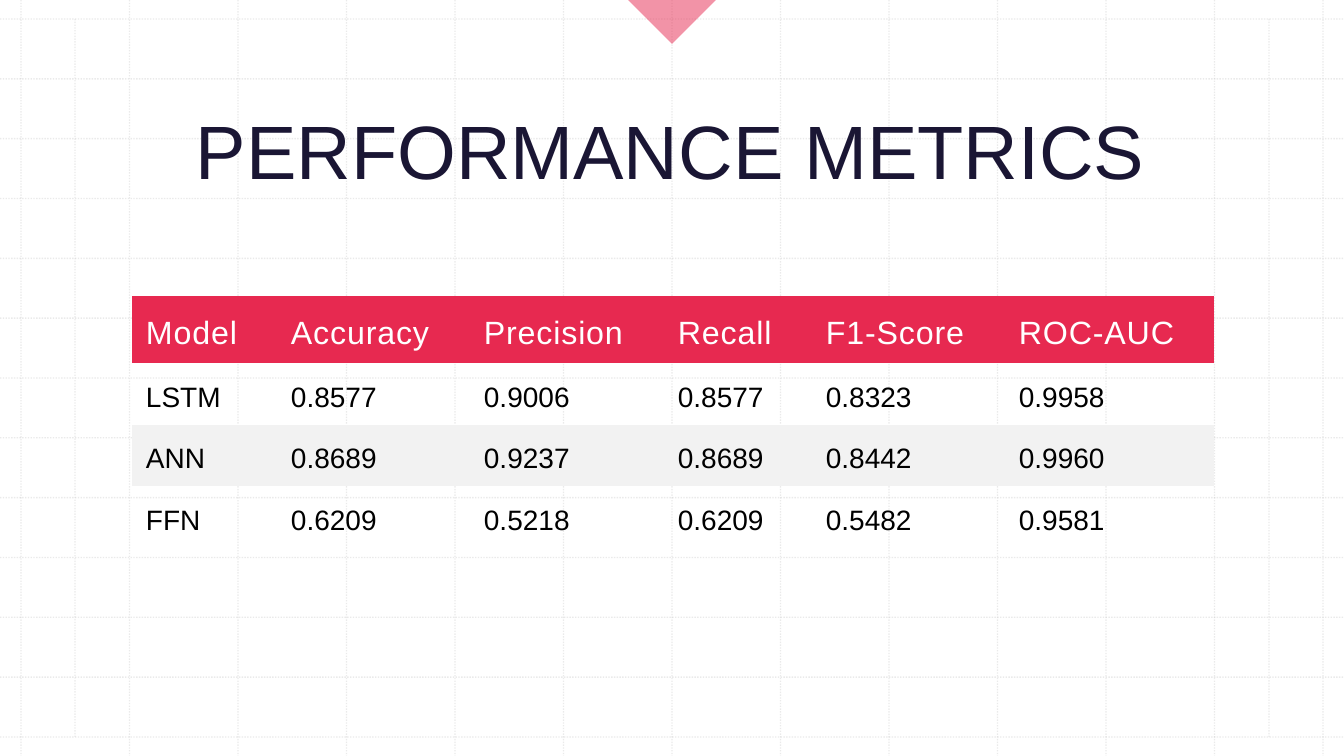
from dataclasses import dataclass

from lxml import etree
from pptx import Presentation, util as u
from pptx.dml.color import RGBColor
from pptx.enum import dml, shapes, text
from pptx.oxml.ns import qn

EMU_PER_PX = 914400 / 100.8
NO_STYLE_NO_GRID = "{2D5ABB26-0587-4C30-8999-92F81FD0307C}"

METRICS = [
    ["Model", "Accuracy", "Precision", "Recall", "F1-Score", "ROC-AUC"],
    ["LSTM", "0.8577", "0.9006", "0.8577", "0.8323", "0.9958"],
    ["ANN", "0.8689", "0.9237", "0.8689", "0.8442", "0.9960"],
    ["FFN", "0.6209", "0.5218", "0.6209", "0.5482", "0.9581"],
]
COLUMN_WIDTHS = [145, 193, 194, 148, 193, 209]
ROW_HEIGHTS = [67, 62, 61, 62]


@dataclass(frozen=True)
class Theme:
    font: str = "Arial"
    paper: str = "FFFFFF"
    grid: str = "BCBCBC"
    accent: str = "E72950"
    band: str = "F2F2F2"
    title: str = "1A1634"
    header: str = "FFFFFF"
    body: str = "000000"
    title_size: int = 54
    header_size: int = 23
    body_size: int = 20
    header_spacing: int = 60
    grid_alpha: int = 30
    accent_alpha: int = 50


THEME = Theme()


def px(length):
    return u.Emu(round(length * EMU_PER_PX))


def assign(target, values):
    for name, value in values.items():
        setattr(target, name, value)


def paint(fill, color):
    fill.solid()
    fill.fore_color.rgb = RGBColor.from_string(color)


def set_alpha(item, percent):
    """Make the solid colour inside a shape's fill or line translucent."""
    color = item._element.spPr.find(".//" + qn("a:srgbClr"))
    etree.SubElement(color, qn("a:alpha"), val=str(percent * 1000))


def write(para, words, size, color):
    span = para.add_run()
    span.text = words
    assign(span.font, {"name": THEME.font, "size": u.Pt(size)})
    span.font.color.rgb = RGBColor.from_string(color)
    return span


def add_grid_line(page, x1, y1, x2, y2):
    line = page.shapes.add_connector(
        shapes.MSO_CONNECTOR.STRAIGHT, px(x1), px(y1), px(x2), px(y2))
    paint(line.line.fill, THEME.grid)
    assign(line.line, {"width": u.Pt(1),
                       "dash_style": dml.MSO_LINE.ROUND_DOT})
    set_alpha(line, THEME.grid_alpha)
    etree.SubElement(line._element.spPr, qn("a:effectLst"))


def add_grid(page, left, top, width, height):
    """Draw 13 lines each way, and a short line near each side edge."""
    margin_x, margin_y, inset, steps = 21, 19, 75, 12
    step_x = (width - 2 * margin_x) / steps
    step_y = (height - 2 * margin_y) / steps
    for index in range(steps + 1):
        x = left + margin_x + index * step_x
        y = top + margin_y + index * step_y
        add_grid_line(page, x, top, x, top + height)
        add_grid_line(page, left, y, left + width, y)
    for x in (left + inset, left + width - inset):
        add_grid_line(page, x, top + margin_y, x, top + height - margin_y)


def add_marker(page, left, top, width, height):
    marker = page.shapes.add_shape(
        shapes.MSO_SHAPE.RIGHT_TRIANGLE, *map(px, (left, top, width, height)))
    marker.rotation = 315
    marker.shadow.inherit = False
    paint(marker.fill, THEME.accent)
    set_alpha(marker, THEME.accent_alpha)
    marker.line.fill.background()


def add_title(page, left, top, width, height):
    box = page.shapes.add_textbox(*map(px, (left, top, width, height)))
    assign(box.text_frame, {"word_wrap": True,
                            "vertical_anchor": text.MSO_ANCHOR.BOTTOM})
    para = box.text_frame.paragraphs[0]
    para.alignment = text.PP_ALIGN.CENTER
    write(para, "PERFORMANCE METRICS", THEME.title_size, THEME.title)


def fill_cell(cell, words, row):
    assign(cell, {"vertical_anchor": text.MSO_ANCHOR.MIDDLE,
                  "margin_left": px(14), "margin_top": px(14),
                  "margin_right": px(14), "margin_bottom": px(7)})
    para = cell.text_frame.paragraphs[0]
    if row == 0:
        paint(cell.fill, THEME.accent)
        span = write(para, words, THEME.header_size, THEME.header)
        span.font._element.set("spc", str(THEME.header_spacing))
        return
    write(para, words, THEME.body_size, THEME.body)
    if row % 2:
        cell.fill.background()
    else:
        paint(cell.fill, THEME.band)


def add_metrics_table(page, left, top, width, height):
    frame = page.shapes.add_table(len(METRICS), len(METRICS[0]),
                                  *map(px, (left, top, width, height)))
    table = frame.table
    table._tbl.tblPr.find(qn("a:tableStyleId")).text = NO_STYLE_NO_GRID
    table.horz_banding = False
    for column, size in zip(table.columns, COLUMN_WIDTHS):
        column.width = px(size)
    for row, size in zip(table.rows, ROW_HEIGHTS):
        row.height = px(size)
    for row, values in enumerate(METRICS):
        for column, words in enumerate(values):
            fill_cell(table.cell(row, column), words, row)


def add_metrics_page(deck, width, height):
    page = deck.slides.add_slide(deck.slide_layouts[6])
    paint(page.background.fill, THEME.paper)
    add_grid(page, 0, 0, width, height)
    add_marker(page, width // 2 - 31, -31, 62, 62)
    add_title(page, 129, 80, 1083, 120)
    add_metrics_table(page, 132, 296, sum(COLUMN_WIDTHS), sum(ROW_HEIGHTS))


def main():
    width, height = 1344, 756
    deck = Presentation()
    assign(deck, {"slide_width": px(width), "slide_height": px(height)})
    add_metrics_page(deck, width, height)
    deck.save("out.pptx")


if __name__ == "__main__":
    main()
